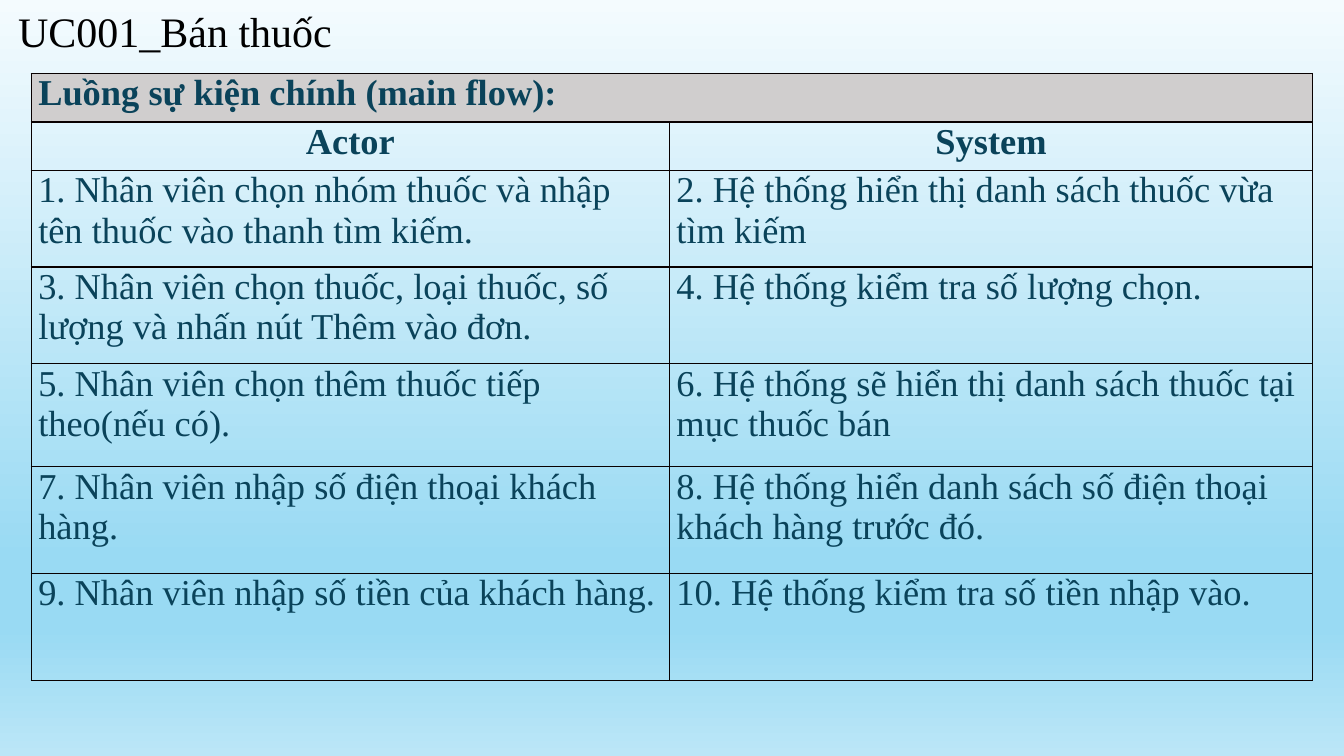
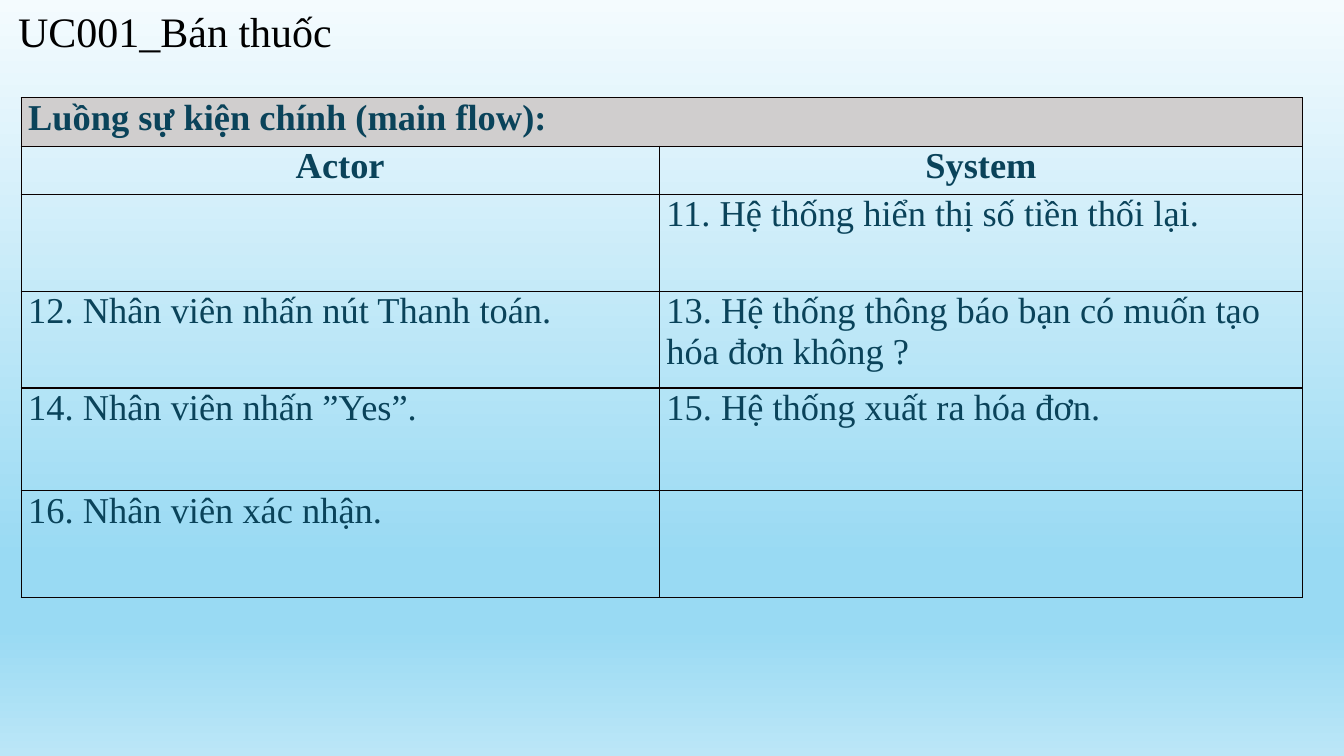
from lxml import etree
from pptx import Presentation
from pptx.dml.color import RGBColor
from pptx.enum.text import MSO_ANCHOR, MSO_AUTO_SIZE, PP_ALIGN
from pptx.oxml.ns import qn
from pptx.util import Inches, Pt

LEFT, CENTER = PP_ALIGN.LEFT, PP_ALIGN.CENTER
TOP = MSO_ANCHOR.TOP
FIT_SHAPE = MSO_AUTO_SIZE.SHAPE_TO_FIT_TEXT

FONT = "Times New Roman"
BLACK = "000000"
TEXT = "0A435A"
HEADING_FILL = "D0CECE"
BORDER = "080000"
BACKGROUND_STOPS = [(0, "F4FBFE"), (74, "99DAF3"), (83, "99DAF3"), (100, "BBE6F7")]

TITLE = "UC001_Bán thuốc"
FLOW_HEADING = "Luồng sự kiện chính (main flow):"
COLUMN_NAMES = ("Actor", "System")
COLUMN_WIDTHS = (6.33, 6.38)
HEADER_HEIGHT = 0.48

FLOWS = [
    {
        "left": 0.31,
        "top": 0.73,
        "heights": [0.96, 0.96, 1.02, 1.06, 1.06],
        "steps": [
            ("1. Nhân viên chọn nhóm thuốc và nhập tên thuốc vào thanh tìm kiếm.",
             "2. Hệ thống hiển thị danh sách thuốc vừa tìm kiếm"),
            ("3. Nhân viên chọn thuốc, loại thuốc, số lượng và nhấn nút Thêm vào đơn.",
             "4. Hệ thống kiểm tra số lượng chọn."),
            ("5. Nhân viên chọn thêm thuốc tiếp theo(nếu có).",
             "6. Hệ thống sẽ hiển thị danh sách thuốc tại mục thuốc bán"),
            ("7. Nhân viên nhập số điện thoại khách hàng.",
             "8. Hệ thống hiển danh sách số điện thoại khách hàng trước đó."),
            ("9. Nhân viên nhập số tiền của khách hàng.",
             "10. Hệ thống kiểm tra số tiền nhập vào."),
        ],
    },
    {
        "left": 0.21,
        "top": 0.97,
        "heights": [0.96, 0.96, 1.02, 1.06],
        "steps": [
            ("", "11. Hệ thống hiển thị số tiền thối lại."),
            ("12. Nhân viên nhấn nút Thanh toán.",
             "13. Hệ thống thông báo bạn có muốn tạo hóa đơn không ?"),
            ("14. Nhân viên nhấn ”Yes”.", "15. Hệ thống xuất ra hóa đơn."),
            ("16. Nhân viên xác nhận.", ""),
        ],
    },
]


def color(value):
    return RGBColor.from_string(value)


def set_background(master):
    fill = master.background.fill
    fill.gradient()
    fill.gradient_angle = 270
    stops = next(master.element.iter(qn("a:gsLst")))
    for stop in list(stops):
        stops.remove(stop)
    for percent, value in BACKGROUND_STOPS:
        stop = etree.SubElement(stops, qn("a:gs"), pos=str(percent * 1000))
        etree.SubElement(stop, qn("a:srgbClr"), val=value)


def write(frame, text, size, value, bold=False, align=LEFT):
    frame.text = text
    para = frame.paragraphs[0]
    para.alignment = align
    for font in [para.font] + [span.font for span in para.runs]:
        font.name = FONT
        font.size = Pt(size)
        font.bold = bold
        font.color.rgb = color(value)


def add_title(page):
    title = page.shapes.title
    title.left, title.top = Inches(0.08), Inches(0)
    title.width, title.height = Inches(5.5), Inches(0.61)
    frame = title.text_frame
    frame.word_wrap = True
    frame.auto_size = FIT_SHAPE
    frame.vertical_anchor = TOP
    write(frame, TITLE, 30, BLACK)


def set_borders(cell):
    properties = cell._tc.get_or_add_tcPr()
    for side in ("lnL", "lnR", "lnT", "lnB"):
        line = etree.SubElement(properties, qn(f"a:{side}"), w=str(Pt(1)))
        fill = etree.SubElement(line, qn("a:solidFill"))
        etree.SubElement(fill, qn("a:srgbClr"), val=BORDER)


def format_cell(cell, text, bold, align, fill):
    set_borders(cell)
    cell.margin_left = cell.margin_right = Inches(0.07)
    cell.margin_top = cell.margin_bottom = Inches(0)
    cell.vertical_anchor = TOP
    if fill:
        cell.fill.solid()
        cell.fill.fore_color.rgb = color(fill)
    else:
        cell.fill.background()
    write(cell.text_frame, text, 26, TEXT, bold, align)


def add_flow_table(page, left, top, heights, steps):
    rows = [(FLOW_HEADING, ""), COLUMN_NAMES] + steps
    row_heights = [HEADER_HEIGHT] * 2 + heights
    table = page.shapes.add_table(
        len(rows), len(COLUMN_WIDTHS), Inches(left), Inches(top),
        Inches(sum(COLUMN_WIDTHS)), Inches(sum(row_heights))).table
    table.first_row = table.horz_banding = False
    for column, width in zip(table.columns, COLUMN_WIDTHS):
        column.width = Inches(width)
    for index, (texts, height) in enumerate(zip(rows, row_heights)):
        table.rows[index].height = Inches(height)
        for cell, text in zip(table.rows[index].cells, texts):
            format_cell(cell, text, bold=index < 2,
                        align=CENTER if index == 1 else LEFT,
                        fill=HEADING_FILL if index == 0 else None)
    table.cell(0, 0).merge(table.cell(0, 1))


def main():
    deck = Presentation()
    deck.slide_width, deck.slide_height = Inches(13.33), Inches(7.5)
    set_background(deck.slide_master)
    title_only = deck.slide_layouts.get_by_name("Title Only")
    for flow in FLOWS:
        page = deck.slides.add_slide(title_only)
        add_title(page)
        add_flow_table(page, **flow)
    deck.save("out.pptx")


if __name__ == "__main__":
    main()
